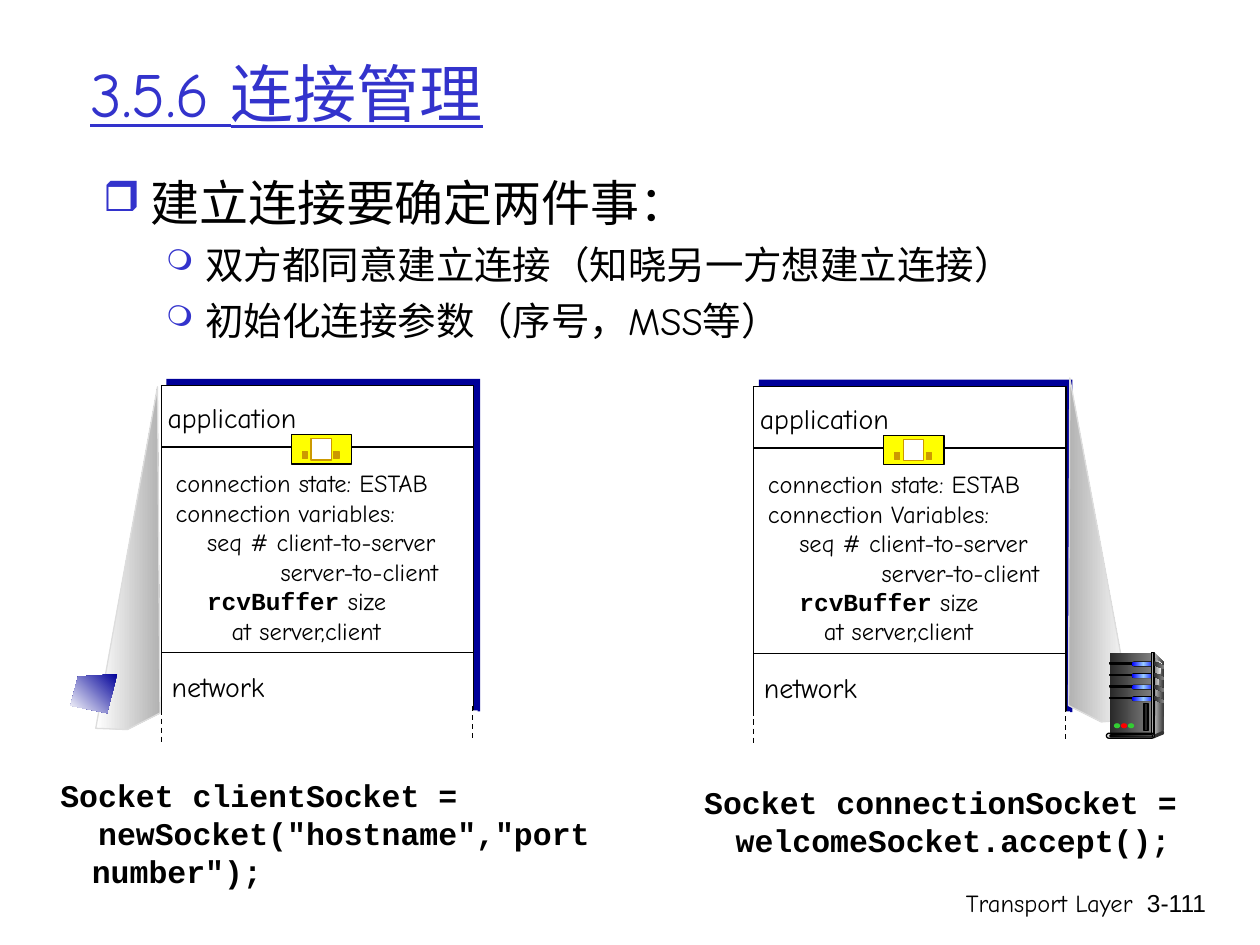
from copy import deepcopy

from pptx import Presentation
from pptx.dml.color import RGBColor
from pptx.enum.dml import MSO_LINE_DASH_STYLE as Dash
from pptx.enum.shapes import MSO_CONNECTOR as Connector, MSO_SHAPE as Preset
from pptx.enum.text import MSO_ANCHOR as Anchor, PP_ALIGN as Align
from pptx.oxml.ns import qn
from pptx.oxml.xmlchemy import OxmlElement
from pptx.util import Pt

BLACK = RGBColor(0x00, 0x00, 0x00)
WHITE = RGBColor(0xFF, 0xFF, 0xFF)
INDIGO = RGBColor(0x33, 0x33, 0xCC)
NAVY = RGBColor(0x00, 0x00, 0x99)
YELLOW = RGBColor(0xFF, 0xFF, 0x00)
OCHRE = RGBColor(0xCC, 0x99, 0x00)
SILVER = RGBColor(0xB2, 0xB2, 0xB2)
PALE = RGBColor(0xDD, 0xDD, 0xDD)
GRAY = RGBColor(0x80, 0x80, 0x80)
MIST = RGBColor(0xF8, 0xF8, 0xF8)
DARK = RGBColor(0x33, 0x33, 0x33)
COAL = RGBColor(0x29, 0x29, 0x29)
BLUE = RGBColor(0x00, 0x00, 0xFF)
SKY = RGBColor(0x99, 0xCC, 0xFF)
GREEN = RGBColor(0x33, 0xCC, 0x33)
RED = RGBColor(0xFF, 0x00, 0x00)

BODY = "Comic Neue"
CODE = "Courier New"
NUMBER = "Arial"


class Sketch:
    def __init__(self, slide):
        self.slide = slide
        self.shapes = slide.shapes

    def begin_group(self):
        self.shapes = self.slide.shapes.add_group_shape().shapes

    def end_group(self):
        self.shapes = self.slide.shapes

    def paint(self, shape, fill, line=None, angle=0):
        shape.shadow.inherit = False
        if isinstance(fill, RGBColor):
            shape.fill.solid()
            shape.fill.fore_color.rgb = fill
        else:
            shape.fill.gradient()
            shape.fill.gradient_angle = angle
            stops = shape._element.spPr.find(qn("a:gradFill")).find(qn("a:gsLst"))
            for _ in fill[2:]:
                stops.append(deepcopy(stops[0]))
            for i, (stop, color) in enumerate(zip(shape.fill.gradient_stops, fill)):
                stop.position = i / (len(fill) - 1)
                stop.color.rgb = color
        if line is None:
            shape.line.fill.background()
        else:
            shape.line.color.rgb = line
            shape.line.width = Pt(0.75)

    def block(self, x, y, w, h, fill, line=None, preset=Preset.RECTANGLE):
        shape = self.shapes.add_shape(preset, Pt(x), Pt(y), Pt(w), Pt(h))
        if preset == Preset.ROUNDED_RECTANGLE:
            shape.adjustments[0] = 0.5
        self.paint(shape, fill, line)

    def pill(self, x, y, w, h, fill, line=None):
        self.block(x, y, w, h, fill, line, Preset.ROUNDED_RECTANGLE)

    def dot(self, x, y, w, h, fill):
        self.block(x, y, w, h, fill, preset=Preset.OVAL)

    def outline(self, points, fill, line=None, angle=0):
        corners = [(Pt(x), Pt(y)) for x, y in points]
        builder = self.shapes.build_freeform(*corners[0], scale=1.0)
        builder.add_line_segments(corners[1:], close=True)
        self.paint(builder.convert_to_shape(), fill, line, angle)

    def line(self, x1, y1, x2, y2, dashed=False):
        rule = self.shapes.add_connector(Connector.STRAIGHT, Pt(x1), Pt(y1), Pt(x2), Pt(y2))
        rule.line.color.rgb = BLACK
        rule.line.width = Pt(0.75)
        if dashed:
            rule.line.dash_style = Dash.DASH
        rule._element.spPr.append(OxmlElement("a:effectLst"))

    def text_box(self, x, y, w, h, wrap=True, anchor=Anchor.TOP):
        frame = self.shapes.add_textbox(Pt(x), Pt(y), Pt(w), Pt(h)).text_frame
        frame.word_wrap = wrap
        frame.vertical_anchor = anchor
        return frame

    def paragraph(self, frame, text, size, font=BODY, color=BLACK, align=Align.LEFT,
                  left=0, hang=0, level=0, before=0, bullet=None, bold=False, underline=False):
        fresh = not frame.paragraphs[0].runs
        para = frame.paragraphs[0] if fresh else frame.add_paragraph()
        para.level = level
        props = para._p.get_or_add_pPr()
        props.set("marL", str(Pt(left)))
        props.set("indent", str(-Pt(hang)))
        if bullet:
            mark, percent = bullet
            tint = OxmlElement("a:buClr")
            rgb = OxmlElement("a:srgbClr")
            rgb.set("val", str(INDIGO))
            tint.append(rgb)
            scale = OxmlElement("a:buSzPct")
            scale.set("val", str(percent * 1000))
            char = OxmlElement("a:buChar")
            char.set("char", mark)
            props.extend([tint, scale, char])
        para.alignment = align
        if not fresh:
            para.space_before = Pt(before)
        self.run(para, text, size, font, color, bold, underline)
        return para

    def run(self, para, text, size, font=BODY, color=BLACK, bold=False, underline=False):
        run = para.add_run()
        run.text = text
        run.font.size = Pt(size)
        run.font.name = font
        run.font.color.rgb = color
        run.font.bold = bold
        run.font.underline = underline

    def protocol_stack(self, x, y, variables, reply_indent):
        width = 178.5
        self.block(x + 2.9, y - 4, 179.3, 190, NAVY)
        self.block(x, y, width, 194.4, WHITE, BLACK)
        for divider in (35, 152.5):
            self.line(x, y + divider, x + width, y + divider)
        state = self.text_box(x + 1, y + 43.7, 183.6, 125)
        self.paragraph(state, "connection state: ESTAB", 14)
        self.paragraph(state, variables, 14)
        self.paragraph(state, "seq # client-to-server", 14, left=18, level=1)
        self.paragraph(state, "server-to-client", 14, left=reply_indent, level=1)
        buffer_size = self.paragraph(state, "rcvBuffer", 14, CODE, left=18, level=1, bold=True)
        self.run(buffer_size, " size", 14)
        self.paragraph(state, "at server,client", 14, left=32, level=1)
        self.begin_group()
        self.block(x + 74.2, y + 28, 34.6, 16.6, YELLOW, BLACK)
        self.block(x + 85.6, y + 30.2, 11.5, 12.2, WHITE, OCHRE)
        for knob in (98.6, 80.6):
            self.block(x + knob, y + 37.4, 2.9, 4.3, OCHRE, OCHRE)
        self.end_group()
        for layer, dx, dy, w in (("application", -3.6, 5, 88), ("network", -1.4, 158.5, 67.7)):
            label = self.text_box(x + dx, y + dy, w, 26.6, wrap=False)
            self.paragraph(label, layer, 16, align=Align.CENTER)
        self.block(x - 2.9, y + 185.5, 183.6, 14.4, WHITE)
        for dx, dy in ((0, 185), (178, 183)):
            self.line(x + dx, y + dy, x + dx, y + dy + 18.7, dashed=True)

    def server(self):
        self.begin_group()
        self.outline([(659.5, 373), (665.3, 378.7), (664.6, 418.3), (658.1, 419.8)], (PALE, DARK))
        self.block(634.3, 373, 24.5, 46.8, (COAL, GRAY))
        self.outline([(659.5, 375.8), (663.8, 379.4), (660.6, 398), (659.5, 419)], (GRAY, MIST))
        for bay in range(4):
            top = 378 + 6.6 * bay
            self.block(634.3, top + 0.7, 13.7, 0.7, BLACK, BLACK)
            self.pill(646.6, top, 13.7, 2.9, BLACK)
            self.pill(646.9, top + 0.4, 13, 2.2, (BLUE, SKY, BLUE))
        self.block(658.1, 373, 1.4, 46.8, (DARK, PALE, DARK), BLACK)
        for bay in range(4):
            top = 378 + 6.6 * bay
            self.outline([(659.2, top), (662.4, top + 1), (665, top + 2.5), (664.6, top + 4.2),
                          (659.2, top + 2)], (COAL, GRAY))
        self.dot(663.8, 417.6, 1.4, 2.2, DARK)
        self.outline([(659.5, 419.8), (659.5, 421.9), (664.6, 419.8), (664.6, 417.6)], DARK)
        self.pill(632.2, 419, 27.4, 2.9, PALE, BLACK)
        self.pill(634.3, 419.8, 24.5, 1.4, (BLACK, GRAY), BLACK)
        for i, lamp in enumerate((GREEN, RED, GREEN)):
            self.dot(636.5 + 4 * i, 413.3, 3.6, 2.9, lamp)
        self.block(653.8, 401.8, 2.2, 15.8, COAL, BLACK)
        self.end_group()


def main():
    deck = Presentation()
    deck.slide_width, deck.slide_height = Pt(720), Pt(540)
    sketch = Sketch(deck.slides.add_slide(deck.slide_layouts[6]))

    for words, font, x, w in (("Transport Layer", BODY, 426.2, 228.2), ("3-111", NUMBER, 643, 53.3)):
        footer = sketch.text_box(x, 504, w, 36)
        sketch.paragraph(footer, words, 14, font, align=Align.RIGHT)

    title = sketch.text_box(44.6, 16.6, 612, 72, anchor=Anchor.MIDDLE)
    sketch.paragraph(title, "3.5.6 连接管理", 36, color=INDIGO, underline=True)

    points = sketch.text_box(51.8, 95, 656.6, 162)
    sketch.paragraph(points, "建立连接要确定两件事：", 28, left=27, hang=27, bullet=("❒", 85))
    for goal in ("双方都同意建立连接（知晓另一方想建立连接）", "初始化连接参数（序号，MSS等）"):
        sketch.paragraph(points, goal, 22, left=58.5, hang=22.5, level=1, before=5.5, bullet=("❍", 75))

    sketch.protocol_stack(92.2, 220.5, "connection variables:", 60)
    sketch.outline([(54.7, 416.2), (90, 221), (91.4, 407.5), (72.7, 416.9)], (WHITE, SILVER), PALE)
    sketch.protocol_stack(430.7, 221, "connection Variables:", 65)
    sketch.outline([(647.3, 411.1), (611.3, 216), (610.6, 403.2), (629.3, 412.6)], (SILVER, WHITE), PALE)

    client = sketch.text_box(27.4, 440, 331.2, 72)
    for code in ("Socket clientSocket =", '  newSocket("hostname","port number");'):
        sketch.paragraph(client, code, 18, CODE, left=18, hang=18, bold=True)
    accept = sketch.text_box(395.3, 444.2, 311, 50.4)
    sketch.paragraph(accept, "Socket connectionSocket = welcomeSocket.accept();", 18, CODE,
                     left=18, hang=18, bold=True)

    sketch.outline([(67, 385.2), (44.6, 386.6), (40.3, 403.2), (61.2, 407.5)], (NAVY, WHITE), angle=225)
    sketch.server()
    deck.save("out.pptx")


if __name__ == "__main__":
    main()
